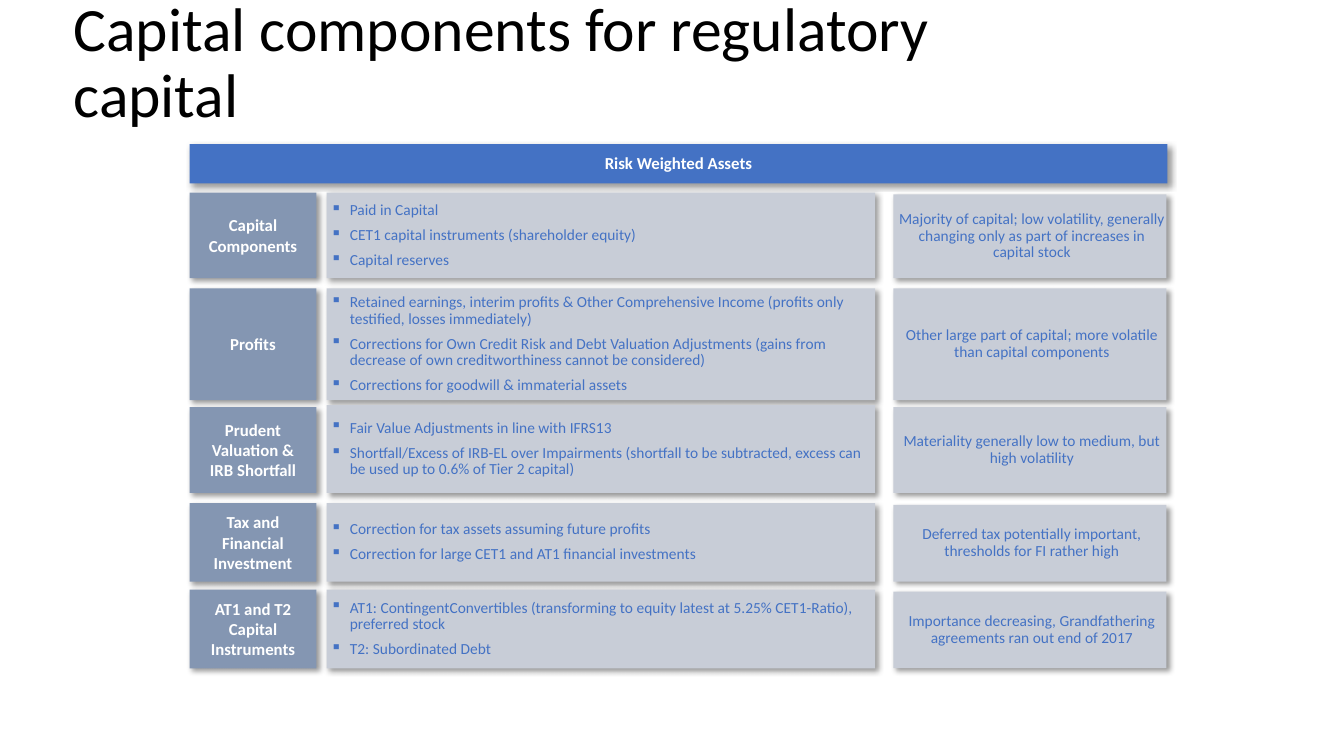
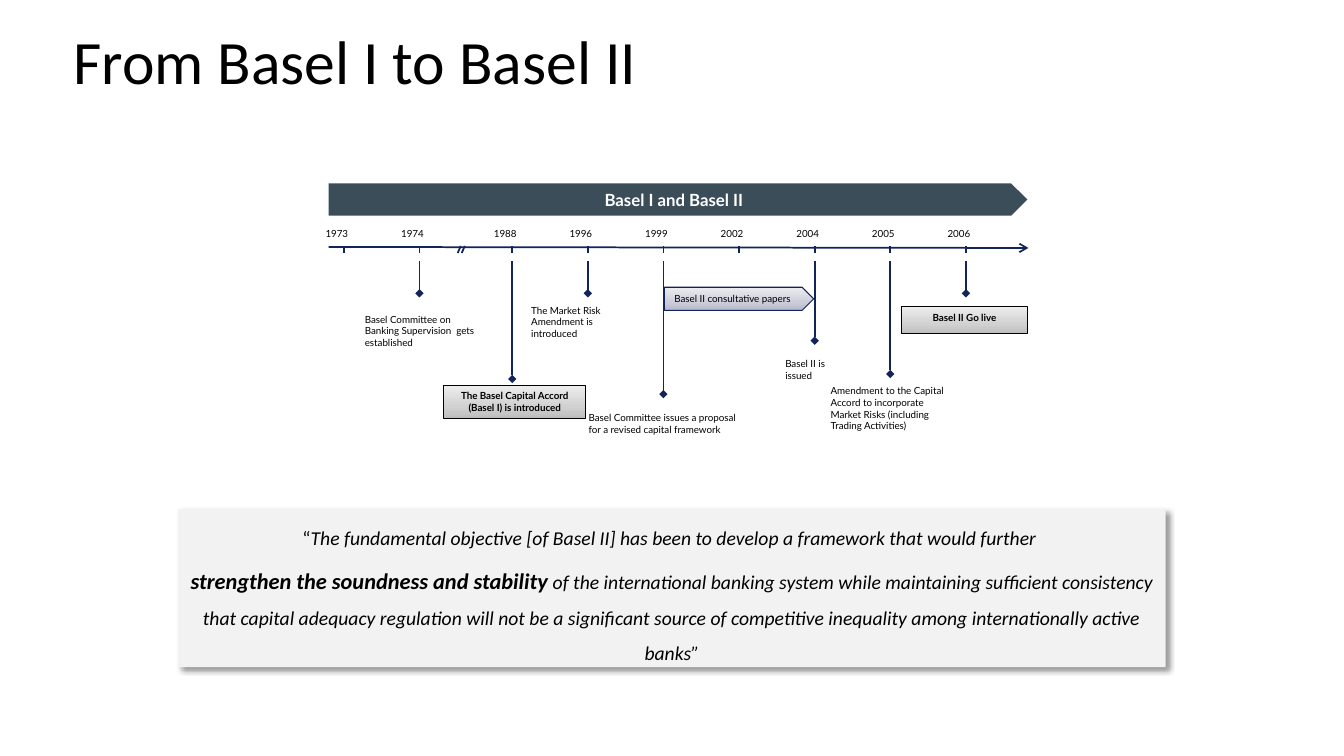
from lxml import etree
from pptx import Presentation
from pptx import util as u
from pptx.dml.color import RGBColor
from pptx.enum import shapes, text
from pptx.oxml.ns import qn

WIDTH, HEIGHT = 13.33, 7.5
BLACK, WHITE, BLUE, NAVY = "000000", "FFFFFF", "4472C4", "13245A"
SLATE, MIST, PALE, STEEL = "8496B2", "C8CDD7", "F2F2F2", "3B4D59"
GREY_FADE = ("BDBDBD", "D1D1D1", "EEEEEE")
LILAC_FADE = ("B6B8CB", "CCCDDA", "ECECF1")
RECT, PLATE = shapes.MSO_SHAPE.RECTANGLE, shapes.MSO_SHAPE.PENTAGON
LEFT, CENTER = text.PP_ALIGN.LEFT, text.PP_ALIGN.CENTER
TOP, MIDDLE = text.MSO_ANCHOR.TOP, text.MSO_ANCHOR.MIDDLE
INSETS = (0.1, 0.05, 0.1, 0.05)
TIGHT = (0.04, 0, 0, 0)
BAND_INSETS = (0.04, 0.04, 0.04, 0.04)

COLUMNS = [(1.88, 1.26), (3.24, 5.44), (8.86, 2.71)]
ROWS = [
    (2.76, (0.85, 0.85, 0.83), "Capital Components",
     ["Paid in Capital",
      "CET1 capital instruments (shareholder equity)",
      "Capital reserves"],
     "Majority of capital; low volatility, generally changing only as part of increases in capital stock"),
    (3.97, (1.11, 1.11, 1.11), "Profits",
     ["Retained earnings, interim profits & Other Comprehensive Income (profits only testified, losses immediately)",
      "Corrections for Own Credit Risk and Debt Valuation Adjustments (gains from decrease of own creditworthiness cannot be considered)",
      "Corrections for goodwill & immaterial assets"],
     "Other large part of capital; more volatile than capital components"),
    (4.89, (0.85, 0.87, 0.85), "Prudent Valuation & IRB Shortfall",
     ["Fair Value Adjustments in line with IFRS13",
      "Shortfall/Excess of IRB-EL over Impairments (shortfall to be subtracted, excess can be used up to 0.6% of Tier 2 capital)"],
     "Materiality generally low to medium, but high volatility"),
    (5.77, (0.78, 0.78, 0.76), "Tax and Financial Investment",
     ["Correction for tax assets assuming future profits",
      "Correction for large CET1 and AT1 financial investments"],
     "Deferred tax potentially important, thresholds for FI rather high"),
    (6.63, (0.78, 0.78, 0.76), "AT1 and T2 Capital Instruments",
     ["AT1: ContingentConvertibles (transforming to equity latest at 5.25% CET1-Ratio), preferred stock",
      "T2: Subordinated Debt"],
     "Importance decreasing, Grandfathering agreements ran out end of 2017"),
]

YEARS = [("1973", None), ("1974", 2.91), ("1988", 3.76), ("1996", 2.91), ("1999", 3.91),
         ("2002", None), ("2004", 3.38), ("2005", 3.71), ("2006", 2.91)]
FIRST_TICK, YEAR_STEP, AXIS_BREAK = 3.41, 0.75, 0.17
NOTES = [
    ((3.52, 3.06, 1.29, 0.69), "Basel Committee on Banking Supervision  gets established", WHITE),
    ((5.17, 2.97, 1.29, 0.69), "The Market Risk Amendment is introduced", WHITE),
    ((5.74, 4.04, 1.7, 0.4), "Basel Committee issues a proposal for a revised capital framework", WHITE),
    ((7.69, 3.5, 0.79, 0.42), "Basel II is issued", WHITE),
    ((8.14, 3.77, 1.34, 0.67),
     "Amendment to the Capital Accord to incorporate Market Risks (including Trading Activities)", None),
]
MILESTONES = [((8.94, 3.04, 1.25, 0.27), "Basel II Go live"),
              ((4.4, 3.82, 1.41, 0.33), "The Basel Capital Accord (Basel I) is introduced")]
QUOTE = [
    [("“", 14, False, False),
     ("The fundamental objective [of Basel II] has been to develop a framework that would further ", 14, False, True)],
    [("strengthen the soundness and stability", 16, True, True),
     (" of the international banking system while maintaining sufficient consistency that capital adequacy "
      "regulation will not be a significant source of competitive inequality among internationally active banks”",
      14, False, True)],
]


def color(value):
    return RGBColor.from_string(value)


def add_xml(parent, tag, **attributes):
    return etree.SubElement(parent, qn("a:" + tag), {key: str(value) for key, value in attributes.items()})


def paint(shape, fill):
    if fill is None:
        shape.fill.background()
    elif isinstance(fill, str):
        shape.fill.solid()
        shape.fill.fore_color.rgb = color(fill)
    else:
        shape.fill.gradient()
        shape.fill.gradient_angle = 90
        stops = shape._element.spPr.find(qn("a:gradFill")).find(qn("a:gsLst"))
        for stop in list(stops):
            stops.remove(stop)
        for share, shade in zip((0, 35, 100), fill):
            add_xml(add_xml(stops, "gs", pos=share * 1000), "srgbClr", val=shade)


def add_block(page, at, fill, kind=RECT, line=None, shadow=False):
    shape = page.shapes.add_shape(kind, *map(u.Inches, at))
    paint(shape, fill)
    if line:
        shape.line.color.rgb = color(line)
        shape.line.width = u.Pt(0.75)
    else:
        shape.line.fill.background()
    shape.shadow.inherit = False
    if shadow:
        effects = shape._element.spPr.find(qn("a:effectLst"))
        outer = add_xml(effects, "outerShdw", blurRad=u.Pt(4), dist=u.Pt(3), dir=45 * 60000,
                        algn="tl", rotWithShape=0)
        add_xml(add_xml(outer, "srgbClr", val=BLACK), "alpha", val=40000)
    return shape


def add_text_box(page, at):
    return page.shapes.add_textbox(*map(u.Inches, at))


def prepare_frame(box, anchor=TOP, insets=INSETS):
    frame = box.text_frame
    frame.word_wrap = True
    frame.auto_size = text.MSO_AUTO_SIZE.NONE
    frame.vertical_anchor = anchor
    frame.margin_left, frame.margin_top, frame.margin_right, frame.margin_bottom = map(u.Inches, insets)
    return frame


def write(box, lines, size, ink=BLACK, font="Calibri", bold=False, align=LEFT, anchor=TOP,
          insets=INSETS, spacing=1.0, before=0, bullet=None):
    frame = prepare_frame(box, anchor, insets)
    for index, line in enumerate(lines):
        para = frame.paragraphs[0] if index == 0 else frame.add_paragraph()
        para.text = line
        if bullet:
            props = para._p.get_or_add_pPr()
            props.set("marL", str(u.Inches(0.19)))
            props.set("indent", str(u.Inches(-0.19)))
            add_xml(props, "buChar", char=bullet)
        para.alignment = align
        para.line_spacing = spacing
        if index:
            para.space_before = u.Pt(before)
        para.font.name, para.font.size, para.font.bold = font, u.Pt(size), bold
        para.font.color.rgb = color(ink)


def add_line(page, start, end, tail=None):
    line = page.shapes.add_connector(shapes.MSO_CONNECTOR.STRAIGHT, *map(u.Inches, start + end))
    line.line.color.rgb = color(NAVY)
    line.line.width = u.Pt(1.25)
    if tail:
        add_xml(line.line._get_or_add_ln(), "tailEnd", type=tail)
    add_xml(line._element.spPr, "effectLst")


def add_page(deck, title):
    page = deck.slides.add_slide(deck.slide_layouts[6])
    write(add_text_box(page, (0.63, 0.17, 10.45, 0.94)), [title], 44, anchor=MIDDLE, spacing=0.9)
    return page


def build_components(deck):
    page = add_page(deck, "Capital components for regulatory capital")
    band = add_block(page, (1.88, 1.43, 9.7, 0.39), BLUE, shadow=True)
    write(band, ["Risk Weighted Assets"], 12, WHITE, bold=True, align=CENTER, anchor=MIDDLE,
          insets=BAND_INSETS, spacing=0.9)
    detail = dict(size=11, ink=BLUE, anchor=MIDDLE, insets=TIGHT, spacing=0.9)
    styles = [
        (SLATE, dict(size=12, ink=WHITE, bold=True, align=CENTER, anchor=MIDDLE)),
        (MIST, dict(detail, before=6, bullet="▪")),
        (MIST, dict(detail, align=CENTER)),
    ]
    for bottom, heights, topic, points, remark in ROWS:
        cells = zip(COLUMNS, heights, styles, ([topic], points, [remark]))
        for (left, width), height, (fill, style), lines in cells:
            cell = add_block(page, (left, bottom - height, width, height), fill, shadow=True)
            write(cell, lines, **style)


def build_timeline(deck):
    page = add_page(deck, "From Basel I to Basel II")
    small = dict(size=7, font="Lato")
    add_line(page, (3.26, 2.45), (10.2, 2.46), "arrow")
    for top_x in (4.57, 4.61):
        add_line(page, (top_x, 2.44), (top_x - 0.03, 2.51))
    for at, note, fill in NOTES:
        write(add_block(page, at, fill), [note], **small)
    papers = add_block(page, (6.59, 2.85, 1.48, 0.23), LILAC_FADE, PLATE, "11225A")
    write(papers, ["Basel II consultative papers"], **small)
    for index, (year, stem_end) in enumerate(YEARS):
        x = FIRST_TICK + index * YEAR_STEP + (AXIS_BREAK if index > 1 else 0)
        write(add_text_box(page, (x - 0.28, 2.21, 0.58, 0.38)), [year], **small)
        add_line(page, (x, 2.44), (x, 2.51))
        if stem_end:
            add_line(page, (x, 2.59), (x, stem_end), "diamond")
    for at, label in MILESTONES:
        write(add_block(page, at, GREY_FADE, line=BLACK), [label], bold=True, align=CENTER, **small)
    band = add_block(page, (3.26, 1.82, 6.93, 0.32), STEEL, PLATE)
    write(band, ["Basel I and Basel II"], 12, WHITE, "Lato", True, CENTER, MIDDLE,
          (0.08, 0.04, 0.08, 0.04))
    build_quote(page)


def build_quote(page):
    frame = prepare_frame(add_block(page, (1.77, 5.05, 9.79, 1.57), PALE, shadow=True))
    for index, spans in enumerate(QUOTE):
        para = frame.paragraphs[0] if index == 0 else frame.add_paragraph()
        para.alignment, para.line_spacing = CENTER, 1.5
        if index:
            para.space_before = u.Pt(3)
        para.font.name = "Calibri"
        para.font.color.rgb = color(BLACK)
        for words, size, bold, italic in spans:
            span = para.add_run()
            span.text = words
            span.font.size, span.font.bold, span.font.italic = u.Pt(size), bold, italic


def main():
    deck = Presentation()
    deck.slide_width, deck.slide_height = u.Inches(WIDTH), u.Inches(HEIGHT)
    build_components(deck)
    build_timeline(deck)
    deck.save("out.pptx")


if __name__ == "__main__":
    main()
